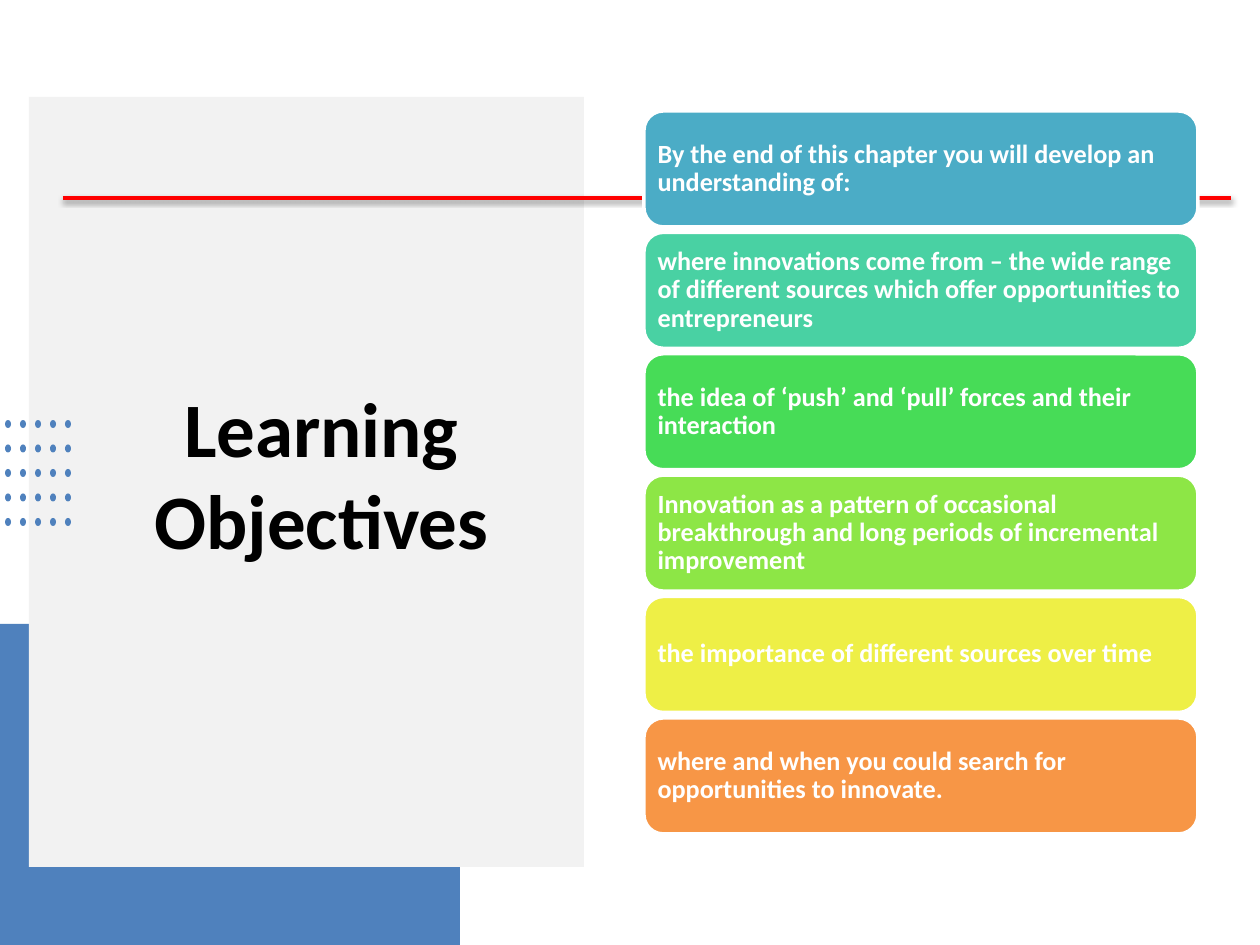
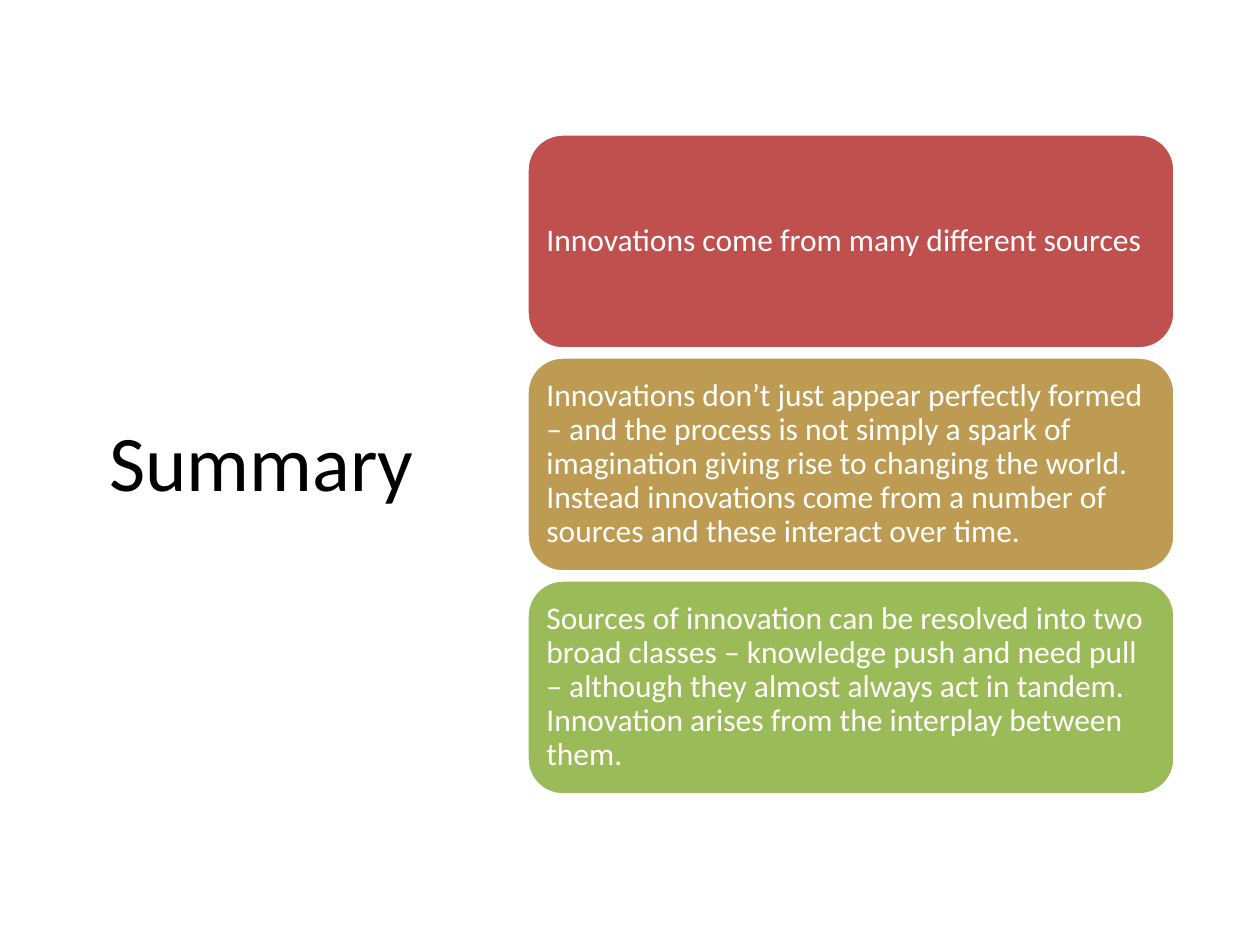
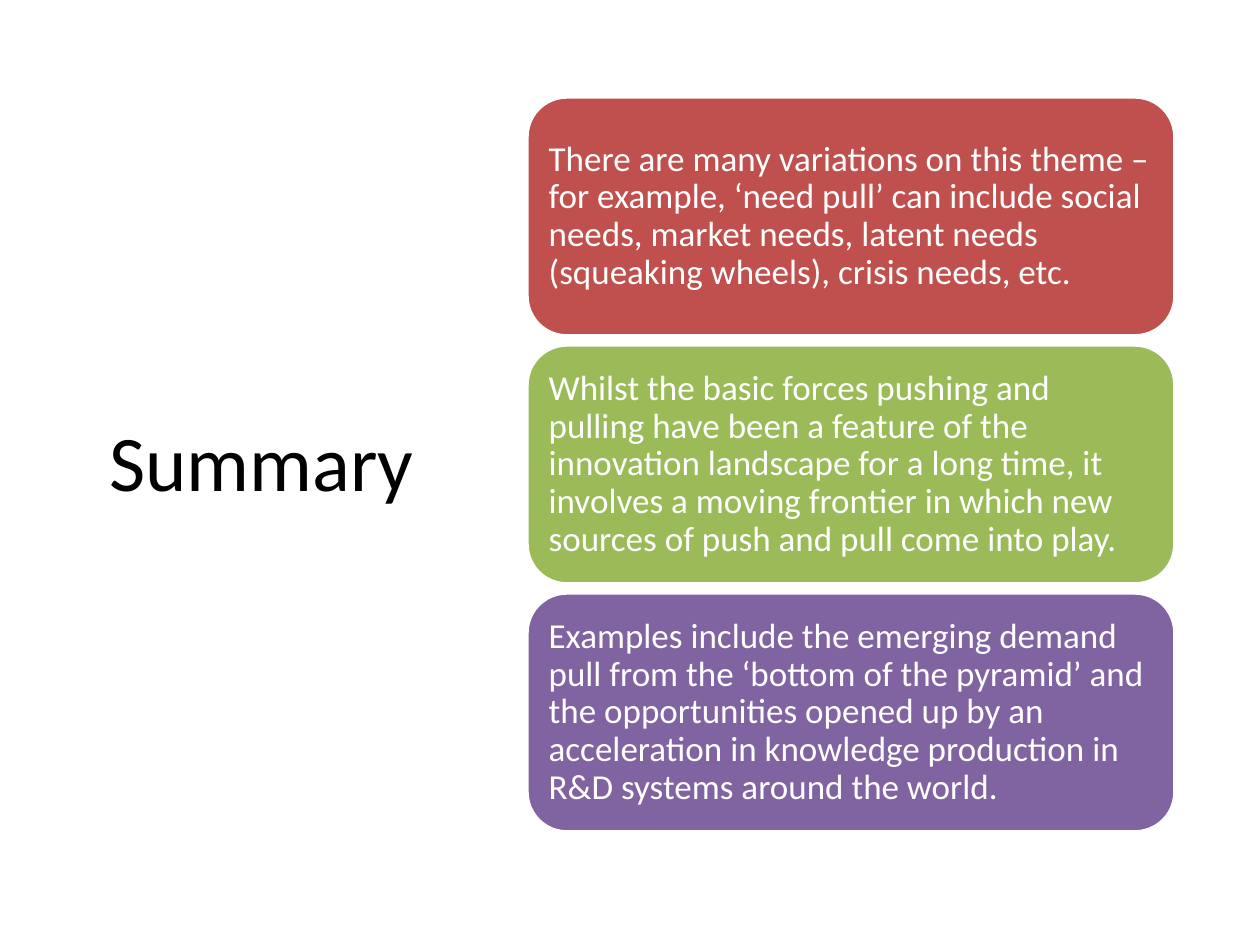
from lxml.etree import SubElement
from pptx import Presentation
from pptx.dml.color import RGBColor
from pptx.enum.shapes import MSO_CONNECTOR, MSO_SHAPE
from pptx.enum.text import MSO_ANCHOR, MSO_AUTO_SIZE, PP_ALIGN
from pptx.oxml.ns import qn
from pptx.util import Pt

PX = 7257  # EMU per pixel at 126 pixels to the inch
FONT = "Calibri"
BLACK, WHITE, RED = "000000", "FFFFFF", "FF0000"
BLUE, PANEL_GREY = "4F81BD", "F2F2F2"


def add_block(slide, kind, left, top, width, height, fill, outline=None):
    """Add a flat preset shape, measured in px, with an optional 2 pt outline."""
    block = slide.shapes.add_shape(
        kind, *(round(length * PX) for length in (left, top, width, height)))
    block.shadow.inherit = False
    block.fill.solid()
    block.fill.fore_color.rgb = RGBColor.from_string(fill)
    if outline:
        block.line.color.rgb = RGBColor.from_string(outline)
        block.line.width = Pt(2)
    else:
        block.line.fill.background()
    return block


def write(shape, text, size, color, bold=False, align=PP_ALIGN.LEFT, spacing=1.0, inset=None):
    frame = shape.text_frame
    frame.text = text
    frame.word_wrap = True
    frame.auto_size = MSO_AUTO_SIZE.NONE
    frame.vertical_anchor = MSO_ANCHOR.MIDDLE
    if inset is not None:
        frame.margin_left = frame.margin_right = inset * PX
        frame.margin_top = frame.margin_bottom = inset * PX
    paragraph = frame.paragraphs[0]
    paragraph.alignment = align
    paragraph.line_spacing = spacing
    font = paragraph.runs[0].font
    font.name, font.size, font.bold = FONT, Pt(size), bold
    font.color.rgb = RGBColor.from_string(color)


SUMMARY_TITLE = {"text": "Summary", "size": 45, "bold": False, "box": (87, 77, 349, 767)}
SUMMARY_COLUMN = {"left": 527, "width": 648, "bold": False}

pages = [
    {
        "title": {"text": "Learning Objectives", "size": 44, "bold": True,
                  "box": (105, 185, 433, 575)},
        "stack": {"left": 644, "width": 554, "bold": True,
                  "top": 111, "bottom": 834, "height": 116, "size": 15, "inset": 8},
        "cards": [
            ("4BACC6", "By the end of this chapter you will develop an understanding of:"),
            ("49D1A3", "where innovations come from – the wide range of different sources "
                       "which offer opportunities to entrepreneurs"),
            ("47DC57", "the idea of ‘push’ and ‘pull’ forces and their interaction"),
            ("8DE646", "Innovation as a pattern of occasional breakthrough and long periods "
                       "of incremental improvement"),
            ("EEEF46", "the importance of different sources over time"),
            ("F79646", "where and when you could search for opportunities to innovate."),
        ],
    },
    {
        "title": SUMMARY_TITLE,
        "stack": {**SUMMARY_COLUMN, "top": 134, "bottom": 795, "height": 215,
                  "size": 18, "inset": 9},
        "cards": [
            ("C0504D", "Innovations come from many different sources"),
            ("BD9B53", "Innovations don’t just appear perfectly formed – and the process is "
                       "not simply a spark of imagination giving rise to changing the world. "
                       "Instead innovations come from a number of sources and these interact "
                       "over time."),
            ("9BBB59", "Sources of innovation can be resolved into two broad classes – "
                       "knowledge push and need pull – although they almost always act in "
                       "tandem. Innovation arises from the interplay between them."),
        ],
    },
    {
        "title": SUMMARY_TITLE,
        "stack": {**SUMMARY_COLUMN, "top": 97, "bottom": 832, "height": 239,
                  "size": 20, "inset": 10},
        "cards": [
            ("C0504D", "There are many variations on this theme – for example, ‘need pull’ "
                       "can include social needs, market needs, latent needs (squeaking "
                       "wheels), crisis needs, etc."),
            ("9BBB59", "Whilst the basic forces pushing and pulling have been a feature of "
                       "the innovation landscape for a long time, it involves a moving "
                       "frontier in which new sources of push and pull come into play."),
            ("8064A2", "Examples include the emerging demand pull from the ‘bottom of the "
                       "pyramid’ and the opportunities opened up by an acceleration in "
                       "knowledge production in R&D systems around the world."),
        ],
    },
]

presentation = Presentation()
presentation.slide_width = 1260 * PX
presentation.slide_height = 945 * PX
title_only = presentation.slide_layouts[5]

for page in pages:
    slide = presentation.slides.add_slide(title_only)
    heading = page["title"]
    title = slide.shapes.title
    title.left, title.top, title.width, title.height = (length * PX for length in heading["box"])
    write(title, heading["text"], heading["size"], BLACK, bold=heading["bold"],
          align=PP_ALIGN.CENTER)

    stack, cards = page["stack"], page["cards"]
    pitch = (stack["bottom"] - stack["top"] - stack["height"]) / (len(cards) - 1)
    for index, (fill, text) in enumerate(cards):
        card = add_block(slide, MSO_SHAPE.ROUNDED_RECTANGLE, stack["left"],
                         stack["top"] + index * pitch, stack["width"], stack["height"],
                         fill, outline=WHITE)
        write(card, text, stack["size"], WHITE, bold=stack["bold"], spacing=0.9,
              inset=stack["inset"])

# Backdrop of the objectives slide, placed behind its title and cards
objectives = presentation.slides[0]
corner = add_block(objectives, MSO_SHAPE.RECTANGLE, 0, 624, 460, 321, BLUE)
panel = add_block(objectives, MSO_SHAPE.RECTANGLE, 29, 97, 555, 770, PANEL_GREY)
dots = [add_block(objectives, MSO_SHAPE.OVAL, 5 + 15 * column, 420 + 49 * row / 2, 6, 8, BLUE)
        for column in range(5) for row in range(5)]

rule = objectives.shapes.add_connector(
    MSO_CONNECTOR.STRAIGHT, 63 * PX, 198 * PX, 1231 * PX, 198 * PX)
rule.line.color.rgb = RGBColor.from_string(RED)
rule.line.width = Pt(2)
effects = SubElement(rule.element.spPr, qn("a:effectLst"))
shadow = SubElement(effects, qn("a:outerShdw"), blurRad="40000", dist="20000",
                    dir="5400000", rotWithShape="0")
shadow_color = SubElement(shadow, qn("a:srgbClr"), val=BLACK)
SubElement(shadow_color, qn("a:alpha"), val="38000")

title_element = objectives.shapes.title.element
for backdrop in (corner, panel):
    title_element.addprevious(backdrop.element)
for ornament in reversed([*dots, rule]):
    title_element.addnext(ornament.element)

presentation.save("out.pptx")
